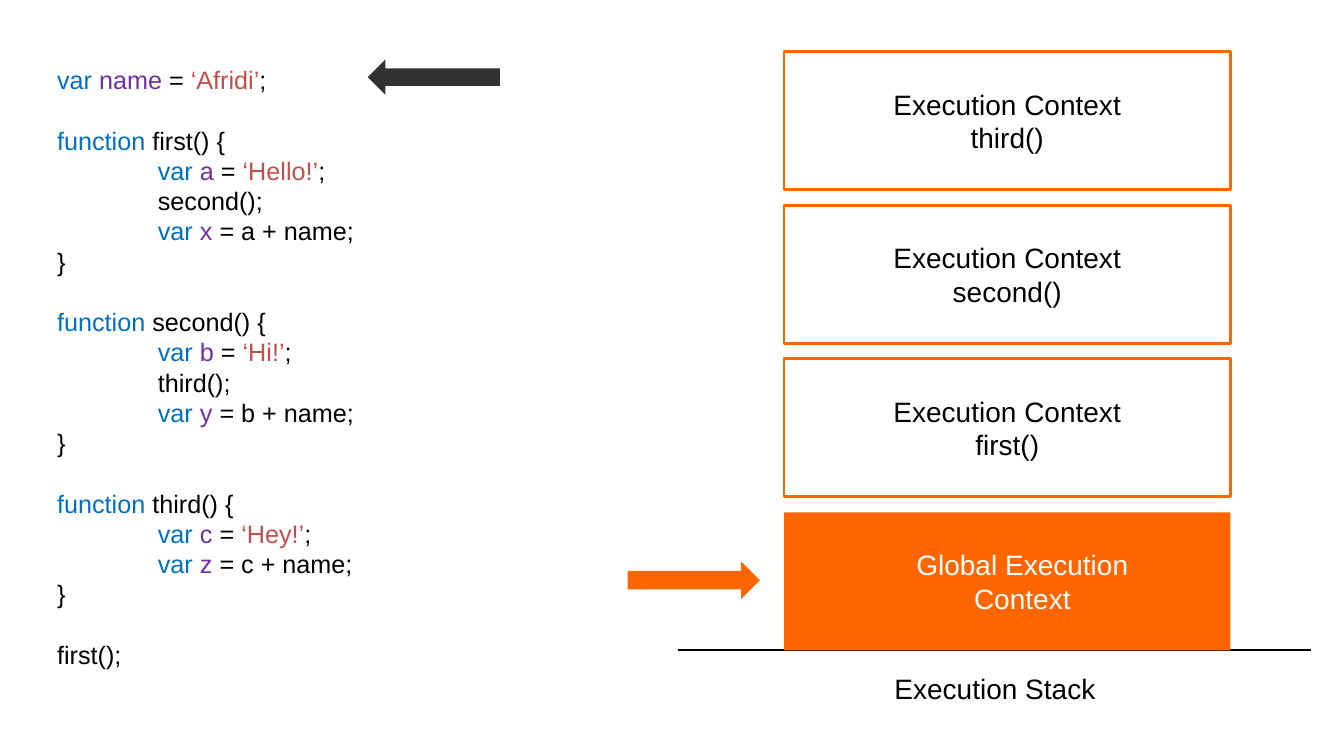
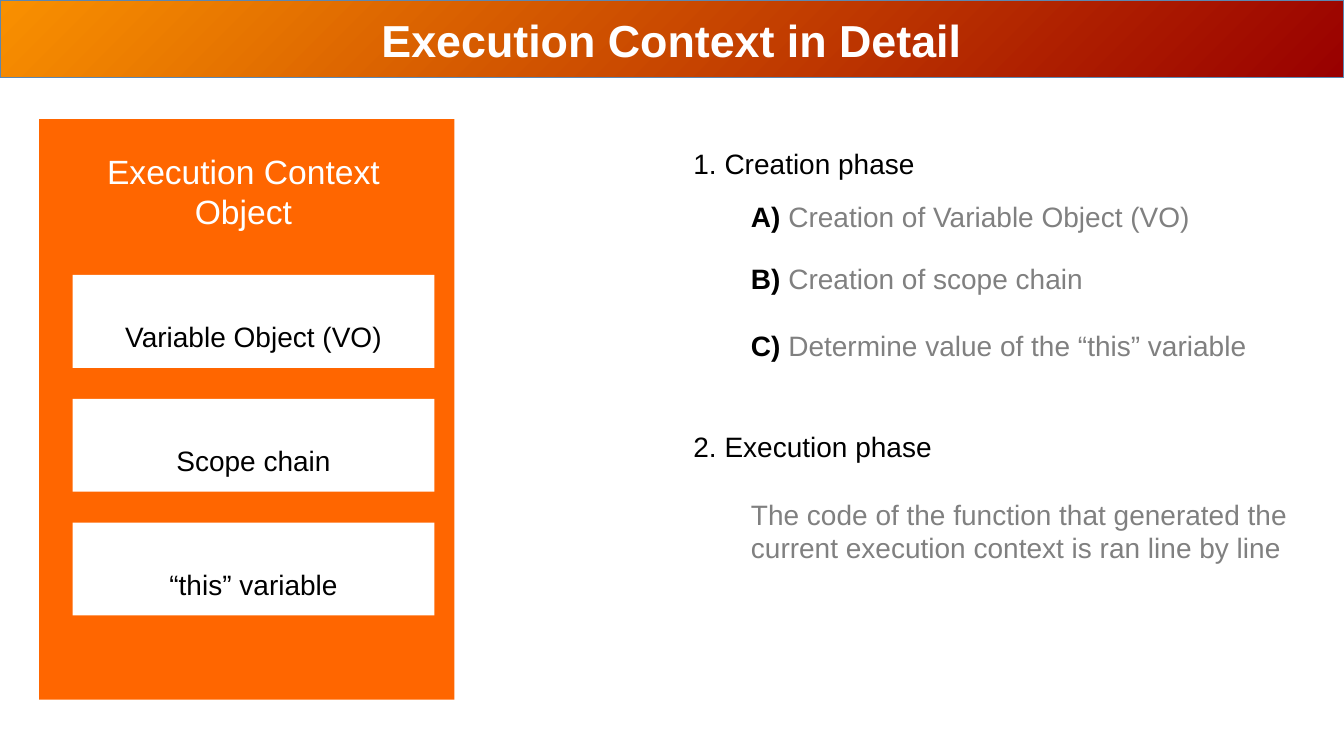
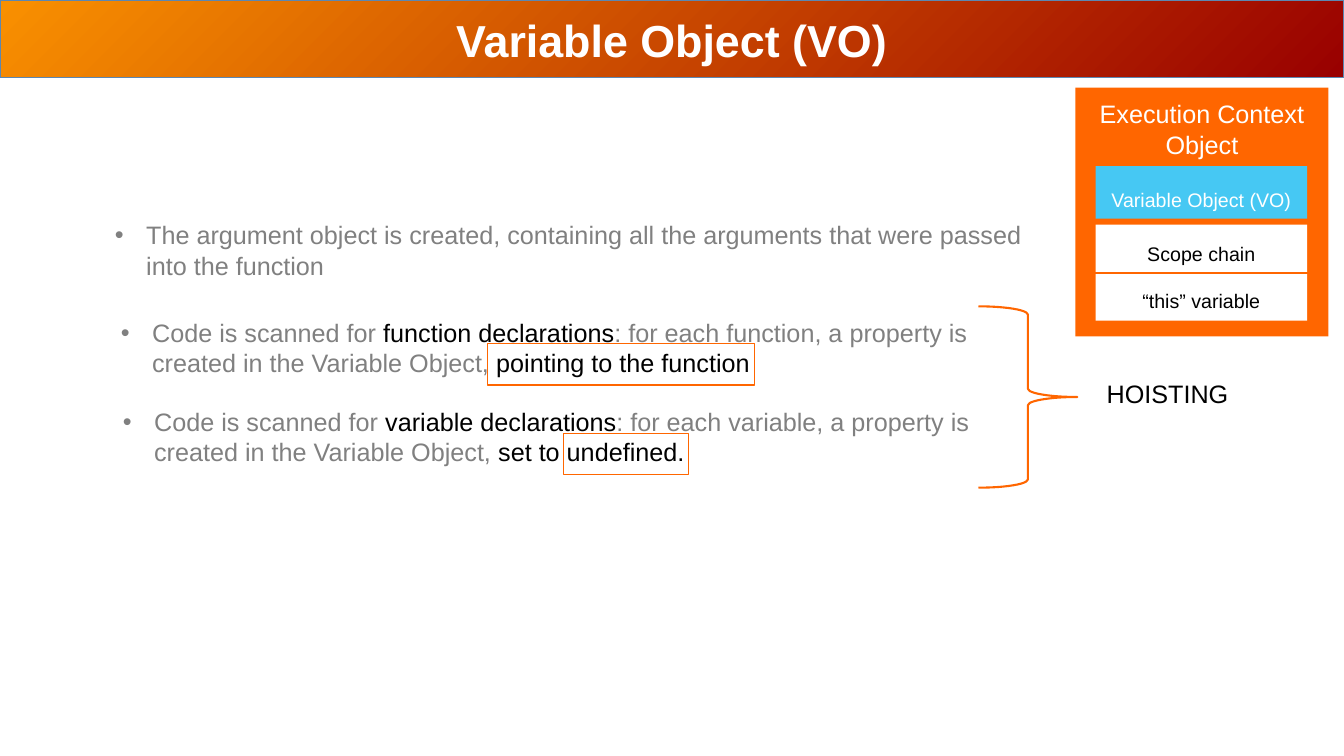
from pptx import Presentation
from pptx.dml.color import RGBColor as RGB
from pptx.enum.shapes import MSO_CONNECTOR as LINE, MSO_SHAPE as SHAPE
from pptx.enum.text import MSO_ANCHOR as ANCHOR, MSO_AUTO_SIZE as AUTO, PP_ALIGN as ALIGN
from pptx.oxml.ns import qn
from pptx.util import Cm, Pt
from lxml.etree import SubElement

FONT = "Arial"
COLORS = {
    "black": "000000", "white": "FFFFFF", "gray": "808080", "dark": "323232",
    "orange": "FF6600", "sky": "46C8F3", "amber": "F99000", "maroon": "990000",
    "edge": "5C87B1", "keyword": "0070C0", "variable": "7030A0", "string": "C0504D",
}

FUNCTIONS = [
    ("first", "a", "Hello!", "second", "x"),
    ("second", "b", "Hi!", "third", "y"),
    ("third", "c", "Hey!", None, "z"),
]
STACK = [
    ["Execution Context", "third()"],
    ["Execution Context", "second()"],
    ["Execution Context", "first()"],
    ["Global Execution", "Context"],
]
PANEL_TITLE = "Execution Context Object"
PARTS = ["Variable Object (VO)", "Scope chain", "“this” variable"]
PHASES = [
    (0, 0, [("1. Creation phase", "black")]),
    (1.45, 14.2, [("A) ", "black", True), ("Creation of Variable Object (VO)", "gray")]),
    (1.45, 20, [("B) ", "black", True), ("Creation of scope chain", "gray")]),
    (1.45, 24.2, [("C) ", "black", True),
                  ("Determine value of the “this” variable", "gray")]),
    (0, 48, [("2. Execution phase", "black")]),
    (1.45, 24.2, [("The code of the function that generated the current execution "
                   "context is ran line by line", "gray")]),
]
STEPS = [
    (0.79, 0, [("The argument object is created, containing all the arguments that "
                "were passed into the function", "gray")]),
    (0.94, 26.6, [("Code is scanned for ", "gray"), ("function declarations", "black"),
                  (": for each function, a property is created in the Variable Object, ",
                   "gray"), ("pointing to the function", "black")]),
    (0.99, 20.2, [("Code is scanned for ", "gray"), ("variable declarations", "black"),
                  (": for each variable, a property is created in the Variable Object, ",
                   "gray"), ("set to undefined.", "black")]),
]


def rgb(name):
    return RGB.from_string(COLORS[name])


def cm(box):
    return [Cm(v) for v in box]


def write(tf, paragraphs, size=20, color="black", bold=False, align=ALIGN.LEFT,
          spacing=None, bullet=None, hang=0):
    tf.word_wrap = True
    tf.auto_size = AUTO.NONE
    for i, item in enumerate(paragraphs):
        indent, before, runs = (0, 0, [(item, color, bold)]) if isinstance(item, str) else item
        p = tf.paragraphs[0] if i == 0 else tf.add_paragraph()
        p.alignment = align
        p.line_spacing = spacing or Pt(size * 1.2)
        p.space_before, p.space_after = Pt(before), Pt(0)
        pPr = p._p.get_or_add_pPr()
        pPr.set("marL", str(Cm(indent)))
        pPr.set("indent", str(-Cm(hang)))
        if bullet:
            SubElement(pPr, qn("a:buChar")).set("char", bullet)
        else:
            SubElement(pPr, qn("a:buNone"))
        for words, tint, *strong in runs:
            r = p.add_run()
            r.text = words
            r.font.name, r.font.size = FONT, Pt(size)
            r.font.bold = bool(strong and strong[0])
            r.font.color.rgb = rgb(tint)


def add_text(s, box, paragraphs, **fmt):
    write(s.shapes.add_textbox(*cm(box)).text_frame, paragraphs, **fmt)


def add_shape(s, kind, box, fill=None, line=None, width=1):
    sp = s.shapes.add_shape(kind, *cm(box))
    sp.shadow.inherit = False
    if fill:
        sp.fill.solid()
        sp.fill.fore_color.rgb = rgb(fill)
    else:
        sp.fill.background()
    if line:
        sp.line.color.rgb = rgb(line)
        sp.line.width = Pt(width)
    else:
        sp.line.fill.background()
    return sp


def place(holder, box):
    holder.left, holder.top, holder.width, holder.height = cm(box)
    return holder.text_frame


def content_slide(title, body_box, paragraphs, **fmt):
    s = prs.slides.add_slide(prs.slide_layouts[1])
    band = add_shape(s, SHAPE.RECTANGLE, (0, 0, 33.87, 1.96), line="edge")
    band.fill.gradient()
    band.fill.gradient_angle = 315
    for stop, position, name in zip(band.fill.gradient_stops, (0, 1), ("amber", "maroon")):
        stop.position = position
        stop.color.rgb = rgb(name)
    s.shapes._spTree.insert(2, band._element)
    tf = place(s.shapes.title, (7.57, 0.18, 18.72, 1.63))
    tf.vertical_anchor = ANCHOR.MIDDLE
    write(tf, [title], size=32, color="white", bold=True, align=ALIGN.CENTER)
    write(place(s.placeholders[1], body_box), paragraphs, **fmt)
    return s


def context_panel(s, panel, label, label_size, left, width, slots, size, active=None):
    add_shape(s, SHAPE.RECTANGLE, panel, fill="orange")
    add_text(s, label, [PANEL_TITLE], size=label_size, color="white", align=ALIGN.CENTER)
    for part, (top, height, spacing) in zip(PARTS, slots):
        on = part == active
        sp = add_shape(s, SHAPE.RECTANGLE, (left, top, width, height),
                       fill="sky" if on else "white")
        sp.text_frame.vertical_anchor = ANCHOR.MIDDLE
        write(sp.text_frame, [part], size=size, color="white" if on else "black",
              align=ALIGN.CENTER, spacing=spacing)


def assign(variable, value):
    return [("var ", "keyword"), (variable, "variable"), (" = ", "black"), *value]


def quoted(word):
    return [(f"‘{word}’", "string"), (";", "black")]


def code_lines(size):
    gap, tab = size * 1.2, 2.54
    lines = [(0, 0, assign("name", quoted("Afridi")))]
    for name, variable, greeting, call, result in FUNCTIONS:
        lines.append((0, gap, [("function ", "keyword"), (f"{name}() {{", "black")]))
        lines.append((tab, 0, assign(variable, quoted(greeting))))
        if call:
            lines.append((tab, 0, [(f"{call}();", "black")]))
        lines.append((tab, 0, assign(result, [(f"{variable} + name;", "black")])))
        lines.append("}")
    return lines + [(0, gap, [("first();", "black")])]


prs = Presentation()
prs.slide_width, prs.slide_height = Cm(33.87), Cm(19.05)

s = prs.slides.add_slide(prs.slide_layouts[6])
add_text(s, (1.19, 1.5, 8.38, 15.65), code_lines(18), size=18)
ground = s.shapes.add_connector(LINE.STRAIGHT, *cm((17.09, 16.38, 33.05, 16.38)))
ground.line.color.rgb = rgb("black")
ground.line.width = Pt(1.5)
SubElement(ground._element.spPr, qn("a:effectLst"))
add_text(s, (18.47, 16.79, 13.21, 1.12), ["Execution Stack"], align=ALIGN.CENTER)
for i, lines in enumerate(STACK):
    top = 1.3 + i * 3.87
    base = i == len(STACK) - 1
    add_shape(s, SHAPE.RECTANGLE, (19.76, top, 11.25, 3.48),
              fill="orange" if base else None, line=None if base else "orange", width=2)
    add_text(s, (21.41 if base else 21.03, top + 0.77, 8.71, 1.96), lines,
             color="white" if base else "black", align=ALIGN.CENTER)
add_shape(s, SHAPE.RIGHT_ARROW, (15.82, 14.15, 3.33, 0.94), fill="orange")
add_shape(s, SHAPE.LEFT_ARROW, (9.27, 1.5, 3.33, 0.89), fill="dark")

s = content_slide("Execution Context in Detail", (17.22, 3.56, 15.8, 11.7), PHASES)
context_panel(s, (0.99, 3, 10.46, 14.63), (1.55, 3.68, 9.17, 2.31), 24, 1.83, 9.12,
              [(6.93 + i * 3.12, 2.34, 1.9) for i in range(len(PARTS))], 20)

s = content_slide("Variable Object (VO)", (2.64, 5.41, 23.6, 6.6), STEPS,
                  size=18, bullet="•", hang=0.79)
context_panel(s, (27.1, 2.21, 6.38, 6.27), (27.1, 2.36, 6.38, 1.8), 18, 27.61, 5.33,
              [(4.19, 1.32, 1.6), (5.66, 1.19, 1.5), (6.91, 1.17, 1.3)], 14, active=PARTS[0])
add_shape(s, SHAPE.RIGHT_BRACE, (24.66, 7.72, 2.49, 4.57), line="orange", width=1.5)
add_text(s, (27.64, 9.42, 4.83, 1.02), ["HOISTING"], size=18)
for highlight in [(12.29, 8.66, 6.73, 1.04), (14.2, 10.92, 3.15, 1.04)]:
    add_shape(s, SHAPE.RECTANGLE, highlight, line="orange")

prs.save("out.pptx")
